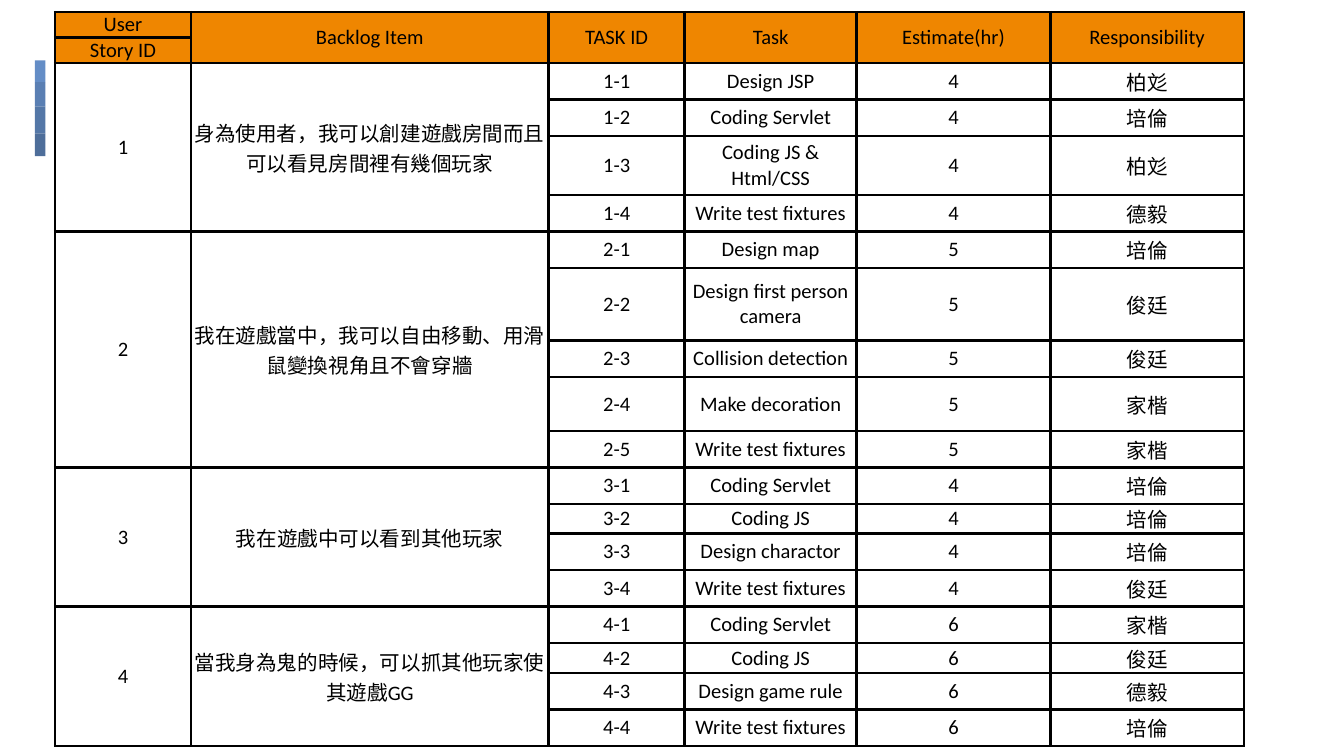
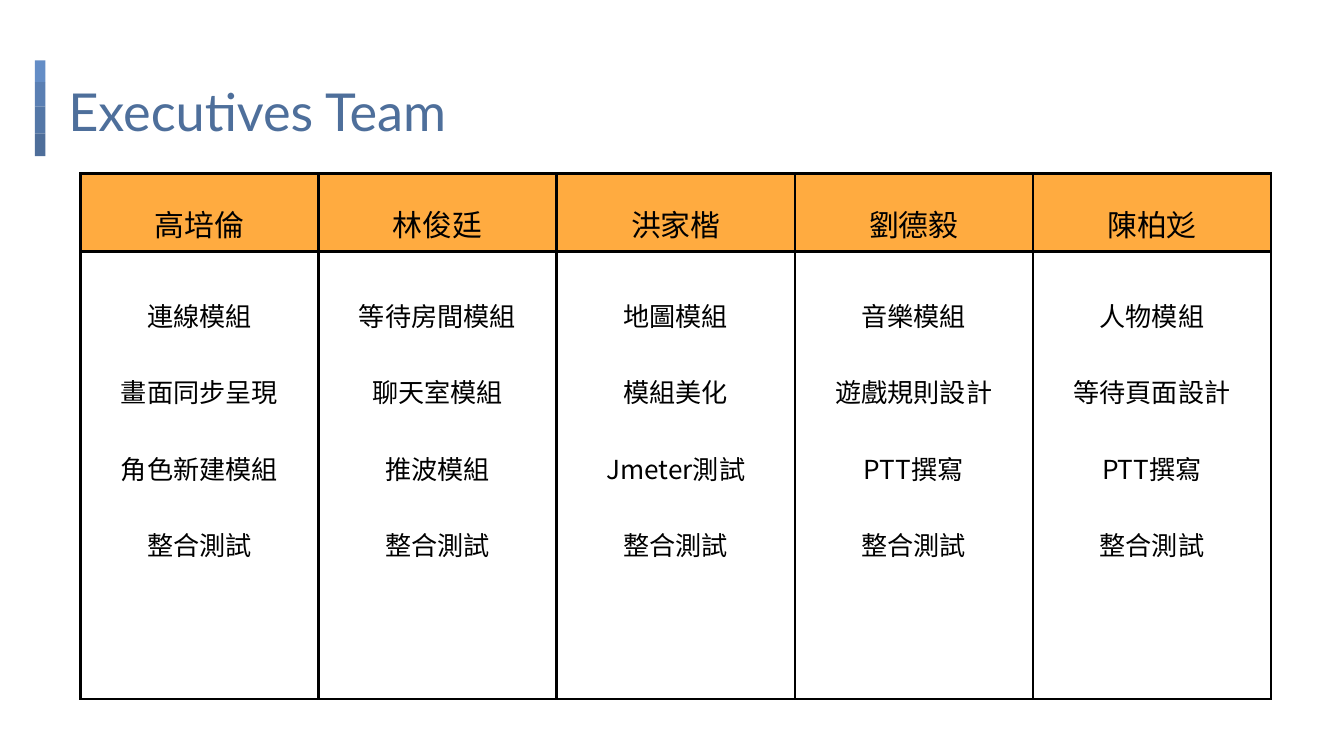
from dataclasses import dataclass
from itertools import product

from lxml import etree
from pptx import Presentation
from pptx.dml.color import RGBColor
from pptx.enum.shapes import MSO_SHAPE
from pptx.enum.text import MSO_ANCHOR, PP_ALIGN
from pptx.oxml.ns import qn
from pptx.slide import Slide
from pptx.table import Table, _Cell
from pptx.text.text import _Paragraph
from pptx.util import Cm, Pt

RECTANGLE = MSO_SHAPE.RECTANGLE
LEFT, CENTER = PP_ALIGN.LEFT, PP_ALIGN.CENTER
TOP, MIDDLE = MSO_ANCHOR.TOP, MSO_ANCHOR.MIDDLE
BLANK_LAYOUT, TITLE_LAYOUT = 6, 5

COLORS = {
    "ink": "000000",
    "title": "4E6F9B",
    "backlog_header": "EF8600",
    "team_header": "FFAB40",
    "bar_1": "648DC6",
    "bar_2": "5A7FB3",
    "bar_3": "5477A7",
    "bar_4": "4E6E9A",
}
NOTO = "Noto Sans CJK SC"
BORDER_SIDES = ("a:lnL", "a:lnR", "a:lnT", "a:lnB")
MARGINS = ("margin_left", "margin_top", "margin_right", "margin_bottom")
SHORT, LOW, NORMAL = 0.36, 0.56, 0.69
BAR_CENTER, BAR_TOP, BAR_WIDTH = 0.76, 1.14, 0.2


@dataclass(frozen=True)
class Bar:
    """One segment of the accent strip."""

    color: str
    length: float


@dataclass(frozen=True)
class TextStyle:
    """How a paragraph is set."""

    font: str
    size: int
    color: str = "ink"
    align: PP_ALIGN = CENTER
    spacing: float = 1.0
    east_asian: bool = False


@dataclass(frozen=True)
class Task:
    """A task row of the backlog."""

    name: str
    owner: str
    height: float = NORMAL


@dataclass(frozen=True)
class Story:
    """A user story with its tasks and the hours of each."""

    text: str
    hours: int
    tasks: tuple[Task, ...]


@dataclass(frozen=True)
class Member:
    """A team member and the assigned work."""

    name: str
    duties: tuple[str, ...]


BARS = (Bar("bar_1", 0.41), Bar("bar_2", 0.46), Bar("bar_3", 0.51), Bar("bar_4", 0.43))

BACKLOG_STYLE = TextStyle("Calibri", 11)
TITLE_STYLE = TextStyle("Lato", 28, "title", LEFT)
NAME_STYLE = TextStyle(NOTO, 16, spacing=1.5, east_asian=True)
DUTY_STYLE = TextStyle(NOTO, 14, spacing=2.0, east_asian=True)

BACKLOG_HEADINGS = ("Backlog Item", "TASK ID", "Task", "Estimate(hr)", "Responsibility")
BACKLOG_WIDTHS = (2.57, 6.76, 2.57, 3.25, 3.66, 3.66)

STORIES = (
    Story("身為使用者，我可以創建遊戲房間而且可以看見房間裡有幾個玩家", 4, (
        Task("Design JSP", "柏彣"),
        Task("Coding Servlet", "培倫"),
        Task("Coding JS & Html/CSS", "柏彣", 1.12),
        Task("Write test fixtures", "德毅"),
    )),
    Story("我在遊戲當中，我可以自由移動、用滑鼠變換視角且不會穿牆", 5, (
        Task("Design map", "培倫"),
        Task("Design first person camera", "俊廷", 1.37),
        Task("Collision detection", "俊廷"),
        Task("Make decoration", "家楷", 1.02),
        Task("Write test fixtures", "家楷"),
    )),
    Story("我在遊戲中可以看到其他玩家", 4, (
        Task("Coding Servlet", "培倫"),
        Task("Coding JS", "培倫", LOW),
        Task("Design charactor", "培倫"),
        Task("Write test fixtures", "俊廷"),
    )),
    Story("當我身為鬼的時候，可以抓其他玩家使其遊戲GG", 6, (
        Task("Coding Servlet", "家楷"),
        Task("Coding JS", "俊廷", LOW),
        Task("Design game rule", "德毅"),
        Task("Write test fixtures", "培倫"),
    )),
)

MEMBERS = (
    Member("高培倫", ("連線模組", "畫面同步呈現", "角色新建模組", "整合測試")),
    Member("林俊廷", ("等待房間模組", "聊天室模組", "推波模組", "整合測試")),
    Member("洪家楷", ("地圖模組", "模組美化", "Jmeter測試", "整合測試")),
    Member("劉德毅", ("音樂模組", "遊戲規則設計", "PTT撰寫", "整合測試")),
    Member("陳柏彣", ("人物模組", "等待頁面設計", "PTT撰寫", "整合測試")),
)


def rgb(name: str) -> RGBColor:
    """Look up a named colour."""
    return RGBColor.from_string(COLORS[name])


def write(para: _Paragraph, text: str, style: TextStyle) -> None:
    """Put styled text into a paragraph."""
    para.alignment = style.align
    para.line_spacing = style.spacing
    span = para.add_run()
    span.text = text
    formats = {"name": style.font, "size": Pt(style.size), "bold": False}
    for attribute, value in formats.items():
        setattr(span.font, attribute, value)
    span.font.color.rgb = rgb(style.color)
    if style.east_asian:
        properties = span._r.get_or_add_rPr()
        etree.SubElement(properties, qn("a:ea"), typeface=style.font)


def add_borders(cell: _Cell) -> None:
    """Draw a solid line on all sides of a cell."""
    properties = cell._tc.get_or_add_tcPr()
    for side in BORDER_SIDES:
        line = etree.SubElement(properties, qn(side), w=str(Pt(1.5)))
        fill = etree.SubElement(line, qn("a:solidFill"))
        etree.SubElement(fill, qn("a:srgbClr"), val=COLORS["ink"])


def add_grid(page: Slide, left: float, top: float, widths: tuple[float, ...],
             heights: tuple[float, ...], header_rows: int, header_color: str) -> Table:
    """Add an empty bordered table with coloured header rows."""
    frame = page.shapes.add_table(len(heights), len(widths), Cm(left), Cm(top),
                                  Cm(sum(widths)), Cm(sum(heights)))
    table = frame.table
    table.first_row = table.horz_banding = False
    for column, width in zip(table.columns, widths):
        column.width = Cm(width)
    for row, height in zip(table.rows, heights):
        row.height = Cm(height)
    for row, column in product(range(len(heights)), range(len(widths))):
        cell = table.cell(row, column)
        add_borders(cell)
        if row < header_rows:
            cell.fill.solid()
            cell.fill.fore_color.rgb = rgb(header_color)
        else:
            cell.fill.background()
    return table


def fill_backlog_cell(table: Table, row: int, column: int, text: str,
                      rows: int = 1) -> None:
    """Write a backlog cell, merged downwards over the given rows."""
    cell = table.cell(row, column)
    if rows > 1:
        cell.merge(table.cell(row + rows - 1, column))
    for attribute, value in {**dict.fromkeys(MARGINS, 0), "vertical_anchor": MIDDLE}.items():
        setattr(cell, attribute, value)
    write(cell.text_frame.paragraphs[0], text, BACKLOG_STYLE)


def add_bars(page: Slide) -> None:
    """Stack the accent segments at the left edge."""
    top = BAR_TOP
    for bar in BARS:
        middle = top + bar.length / 2
        box = page.shapes.add_shape(
            RECTANGLE, Cm(BAR_CENTER - bar.length / 2), Cm(middle - BAR_WIDTH / 2),
            Cm(bar.length), Cm(BAR_WIDTH))
        box.rotation = 270
        box.shadow.inherit = False
        box.fill.solid()
        box.fill.fore_color.rgb = rgb(bar.color)
        box.line.fill.background()
        top += bar.length


def add_title(page: Slide, text: str) -> None:
    """Place and write the slide title."""
    title = page.shapes.title
    places = {"left": 1.04, "top": 1.24, "width": 23.5, "height": 1.6}
    for attribute, value in places.items():
        setattr(title, attribute, Cm(value))
    frame = title.text_frame
    formats = {**dict.fromkeys(MARGINS, Cm(0.25)), "word_wrap": True, "vertical_anchor": TOP}
    for attribute, value in formats.items():
        setattr(frame, attribute, value)
    write(frame.paragraphs[0], text, TITLE_STYLE)


def build_backlog(page: Slide) -> None:
    """Build the sprint backlog table."""
    add_bars(page)
    heights = (SHORT, SHORT, *(task.height for story in STORIES for task in story.tasks))
    table = add_grid(page, 1.04, 0.23, BACKLOG_WIDTHS, heights, 2, "backlog_header")
    for row, text in enumerate(("User", "Story ID")):
        fill_backlog_cell(table, row, 0, text)
    for column, text in enumerate(BACKLOG_HEADINGS, 1):
        fill_backlog_cell(table, 0, column, text, 2)
    row = 2
    for number, story in enumerate(STORIES, 1):
        for column, text in enumerate((str(number), story.text)):
            fill_backlog_cell(table, row, column, text, len(story.tasks))
        for index, task in enumerate(story.tasks, 1):
            values = (f"{number}-{index}", task.name, str(story.hours), task.owner)
            for column, text in enumerate(values, 2):
                fill_backlog_cell(table, row, column, text)
            row += 1


def build_team(page: Slide) -> None:
    """Build the team table with one column per member."""
    add_bars(page)
    add_title(page, "Executives Team")
    widths = (4.5,) * len(MEMBERS)
    table = add_grid(page, 1.52, 3.28, widths, (1.32, 8.46), 1, "team_header")
    for column, member in enumerate(MEMBERS):
        write(table.cell(0, column).text_frame.paragraphs[0], member.name, NAME_STYLE)
        frame = table.cell(1, column).text_frame
        for index, duty in enumerate(member.duties):
            para = frame.add_paragraph() if index else frame.paragraphs[0]
            write(para, duty, DUTY_STYLE)


def main() -> None:
    """Create and save the deck."""
    deck = Presentation()
    deck.slide_width, deck.slide_height = Cm(25.4), Cm(14.29)
    for layout, build in ((BLANK_LAYOUT, build_backlog), (TITLE_LAYOUT, build_team)):
        build(deck.slides.add_slide(deck.slide_layouts[layout]))
    deck.save("out.pptx")


if __name__ == "__main__":
    main()
